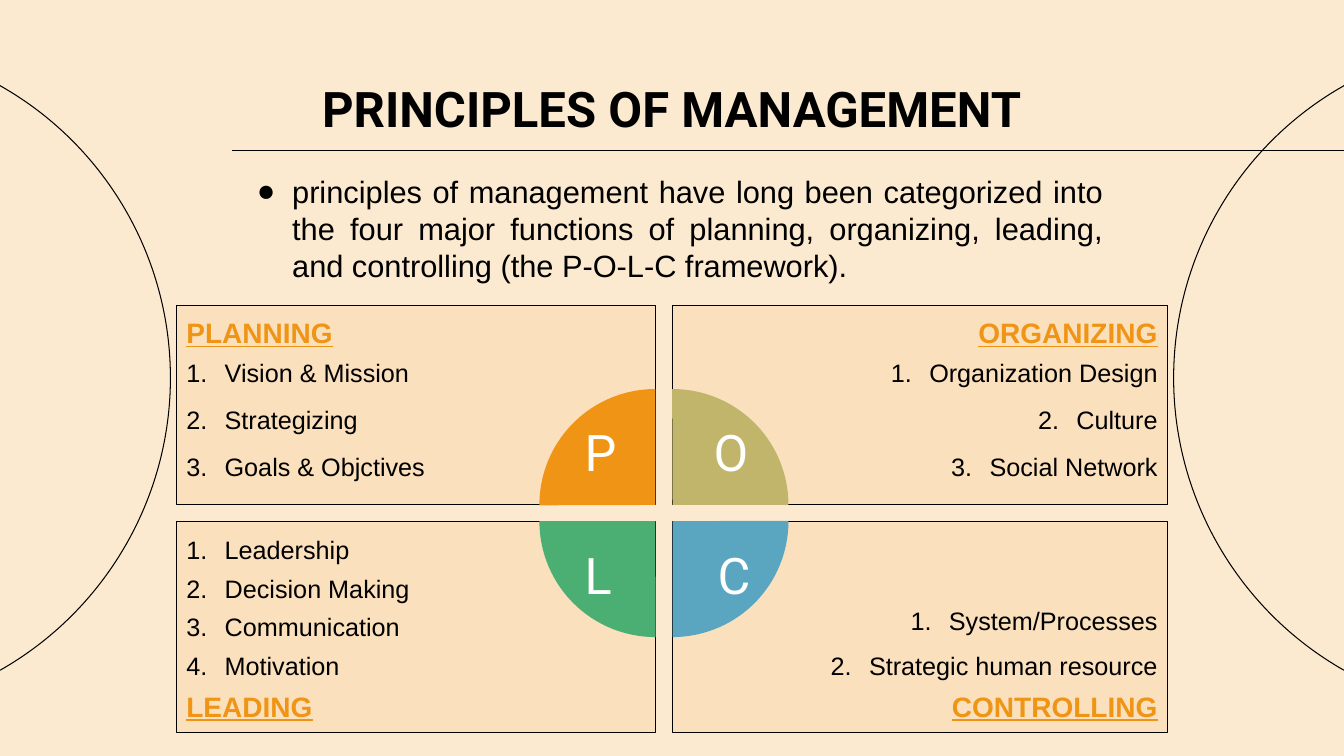
"""Build the slide on the four principles of management."""
from dataclasses import dataclass

from lxml import etree
from pptx import Presentation
from pptx.dml.color import RGBColor
from pptx.enum import shapes, text
from pptx.oxml import ns
from pptx.util import Inches, Pt


@dataclass(frozen=True)
class Theme:
    paper: str = "FCEAD0"
    panel: str = "F6BF73"
    panel_alpha: int = 21000
    ink: str = "000000"
    accent: str = "F09415"
    olive: str = "C1B56B"
    blue: str = "5AA6C0"
    green: str = "4BAF73"
    white: str = "FFFFFF"
    display: str = "Roboto"
    body: str = "Arial"
    title_size: int = 35
    letter_size: int = 36
    intro_size: int = 22
    heading_size: int = 20
    item_size: int = 18
    line: float = 0.75


def add_words(para, words, font, size, color, strong=False, underline=False):
    span = para.add_run()
    span.text = words
    span.font.name = font
    span.font.size = Pt(size)
    span.font.bold = strong
    span.font.underline = underline
    span.font.color.rgb = RGBColor.from_string(color)


def add_bullet(para, margin, hanging, kind, **details):
    props = para._p.get_or_add_pPr()
    props.set("marL", str(Inches(margin)))
    props.set("indent", str(-Inches(hanging)))
    tint = etree.SubElement(props, ns.qn("a:buClr"))
    etree.SubElement(tint, ns.qn("a:srgbClr"), val=theme.ink)
    etree.SubElement(props, ns.qn("a:buFont"), typeface=theme.body)
    etree.SubElement(props, ns.qn(kind), **details)


theme = Theme()
ink = RGBColor.from_string(theme.ink)
align = text.PP_ALIGN
anchor = text.MSO_ANCHOR
slide_width = 13.33

deck = Presentation()
deck.slide_width = Inches(slide_width)
deck.slide_height = Inches(7.5)
page = deck.slides.add_slide(deck.slide_layouts[6])
page.background.fill.solid()
page.background.fill.fore_color.rgb = RGBColor.from_string(theme.paper)

rule = page.shapes.add_connector(
    shapes.MSO_CONNECTOR.STRAIGHT, Inches(2.3), Inches(1.49), Inches(slide_width), Inches(1.49))
rule.line.color.rgb = ink
rule.line.width = Pt(theme.line)
etree.SubElement(rule._element.spPr, ns.qn("a:effectLst"))

arc_points = ((0, 0.85), (1.01, 1.42), (1.69, 2.51), (1.69, 3.75),
              (1.69, 4.95), (1.04, 6.06), (0, 6.65))
for mirrored in (True, False):
    points = [(Inches(slide_width - x if mirrored else x), Inches(y)) for x, y in arc_points]
    builder = page.shapes.build_freeform(*points[0])
    builder.add_line_segments((points[3], points[6]), close=False)
    arc = builder.convert_to_shape()
    segments = arc._element.spPr.findall(".//" + ns.qn("a:lnTo"))
    for segment, curve in zip(segments, (points[1:4], points[4:7])):
        bend = etree.Element(ns.qn("a:cubicBezTo"))
        for x, y in curve:
            etree.SubElement(bend, ns.qn("a:pt"), x=str(x - arc.left), y=str(y - arc.top))
        segment.getparent().replace(segment, bend)
    arc.shadow.inherit = False
    arc.fill.background()
    arc.line.color.rgb = ink
    arc.line.width = Pt(theme.line)

intro = page.shapes.add_textbox(Inches(2.3), Inches(1.77), Inches(8.74), Inches(0.98))
title = page.shapes.add_textbox(Inches(1.05), Inches(0.65), Inches(11.23), Inches(0.84))
for box in (intro, title):
    box.text_frame.word_wrap = True
    box.text_frame.vertical_anchor = anchor.MIDDLE
    box.text_frame.margin_top = box.text_frame.margin_bottom = Inches(0.1)

para = intro.text_frame.paragraphs[0]
para.alignment = align.JUSTIFY
add_bullet(para, 0.5, 0.35, "a:buChar", char="●")
add_words(para, "principles of management have long been categorized into the four major "
          "functions of planning, organizing, leading, and controlling (the P-O-L-C framework).",
          theme.body, theme.intro_size, theme.ink)
para = title.text_frame.paragraphs[0]
para.alignment = align.CENTER
add_words(para, "PRINCIPLES OF MANAGEMENT", theme.display, theme.title_size, theme.ink, True)

columns = ((1.75, 4.75), (6.67, 4.91))
rows = ((3.03, 1.98), (5.17, 2.1))
panels = (
    (0, 0, "PLANNING", ("Vision & Mission", "Strategizing", "Goals & Objctives"), 6, 6, 1),
    (1, 0, "ORGANIZING", ("Organization Design", "Culture", "Social Network"), 6, 6, 1),
    (0, 1, "LEADING", ("Leadership", "Decision Making", "Communication", "Motivation"), 6, 0, 1),
    (1, 1, "CONTROLLING", ("System/Processes", "Strategic human resource"), 0, 0, 1.5),
)
for column, row, heading, items, before, after, spacing in panels:
    left, width = columns[column]
    top, height = rows[row]
    panel = page.shapes.add_shape(shapes.MSO_SHAPE.RECTANGLE, Inches(left), Inches(top),
                                  Inches(width), Inches(height))
    panel.shadow.inherit = False
    panel.fill.solid()
    panel.fill.fore_color.rgb = RGBColor.from_string(theme.panel)
    shade = panel._element.spPr.find(".//" + ns.qn("a:srgbClr"))
    etree.SubElement(shade, ns.qn("a:alpha"), val=str(theme.panel_alpha))
    panel.line.color.rgb = ink
    panel.line.width = Pt(theme.line)
    frame = panel.text_frame
    frame.word_wrap = True
    frame.vertical_anchor = anchor.BOTTOM if row else anchor.TOP
    frame.margin_left = Inches(1.5 if column else 0.1)
    frame.margin_right = Inches(0.1 if column else 1.5)
    frame.margin_top = frame.margin_bottom = Inches(0.1)
    entries = (*items, heading) if row else (heading, *items)
    for index, entry in enumerate(entries):
        para = frame.add_paragraph() if index else frame.paragraphs[0]
        para.alignment = align.RIGHT if column else align.LEFT
        if entry == heading:
            para.space_before = para.space_after = Pt(6 * row)
            add_words(para, entry, theme.body, theme.heading_size, theme.accent, True, True)
        else:
            para.space_before, para.space_after = Pt(before), Pt(after)
            para.line_spacing = float(spacing)
            add_bullet(para, 0.38, 0.38, "a:buAutoNum", type="arabicPeriod")
            add_words(para, entry, theme.body, theme.item_size, theme.ink)

quarters = (
    (5.35, 3.86, theme.accent),
    (5.52, 3.86, theme.olive),
    (5.52, 4.02, theme.blue),
    (5.35, 4.02, theme.green),
)
for turn, (left, top, color) in enumerate(quarters):
    quarter = page.shapes.add_shape(shapes.MSO_SHAPE.PIE, Inches(left), Inches(top),
                                    Inches(2.3), Inches(2.3))
    quarter.adjustments[0] = 107.89
    quarter.adjustments[1] = 162
    quarter.rotation = 90 * turn
    quarter.shadow.inherit = False
    quarter.fill.solid()
    quarter.fill.fore_color.rgb = RGBColor.from_string(color)
    quarter.line.fill.background()

letters = (("P", 5.7, 4.13, 0.65), ("O", 6.98, 4.13, 0.48),
           ("L", 5.7, 5.35, 0.43), ("C", 7.02, 5.35, 0.64))
for letter, left, top, width in letters:
    box = page.shapes.add_textbox(Inches(left), Inches(top), Inches(width), Inches(0.71))
    box.text_frame.word_wrap = True
    add_words(box.text_frame.paragraphs[0], letter, theme.display, theme.letter_size, theme.white)

deck.save("out.pptx")
